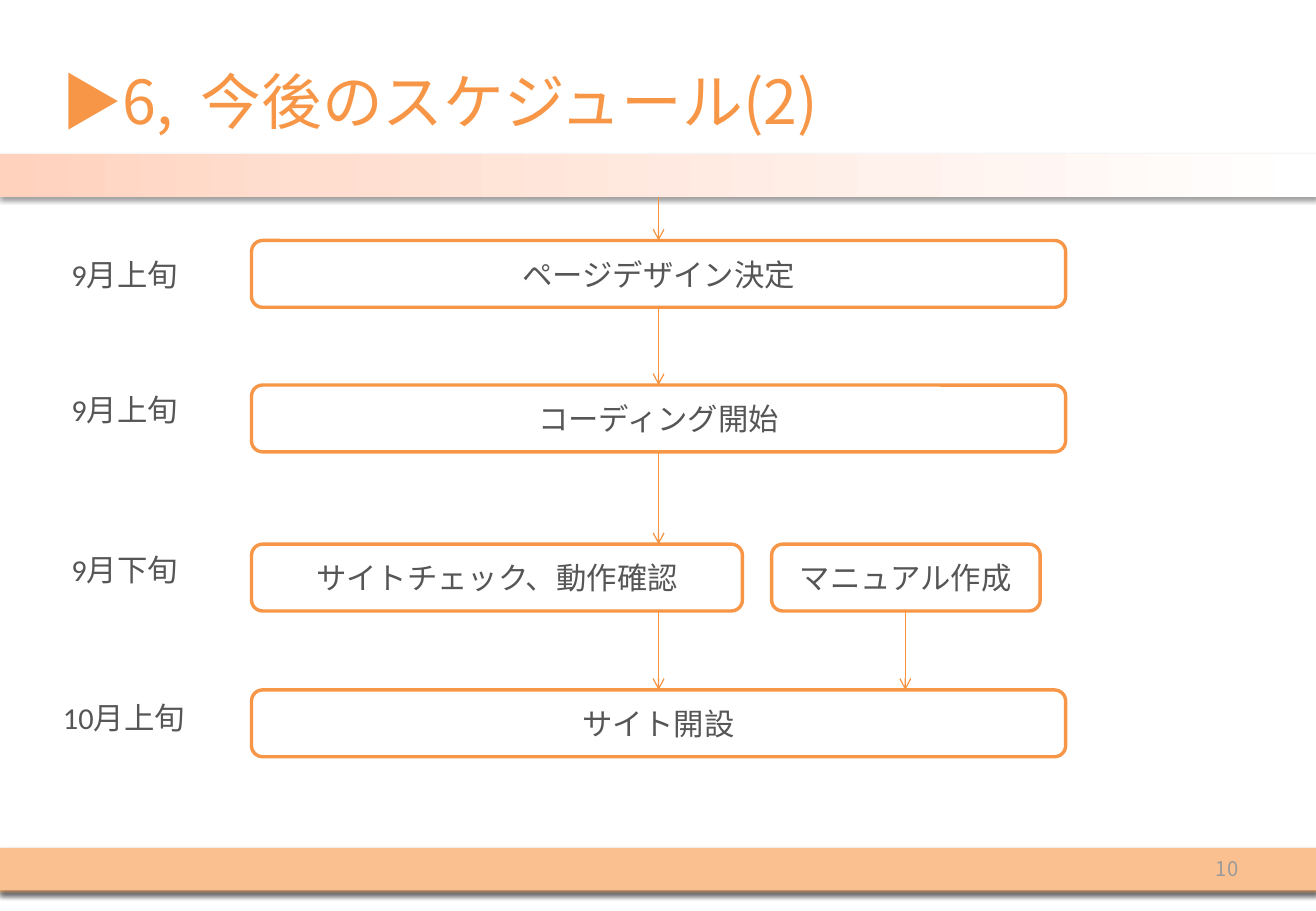
from copy import deepcopy
from dataclasses import dataclass

from lxml.etree import SubElement
from pptx import Presentation
from pptx.dml.color import RGBColor
from pptx.enum.shapes import MSO_CONNECTOR as CONNECTOR, MSO_SHAPE as SHAPE
from pptx.enum.text import MSO_ANCHOR as ANCHOR, MSO_AUTO_SIZE as AUTO, PP_ALIGN as ALIGN
from pptx.oxml.ns import qn
from pptx.util import Pt

TITLE = "▶6,  今後のスケジュール(2)"
PAGE = "10"
STEPS = [
    ("9月上旬", 206, 198, [("ページデザイン決定", 207, 670)]),
    ("9月上旬", 317, 317, [("コーディング開始", 207, 670)]),
    ("9月下旬", 449, 448, [("サイトチェック、動作確認", 207, 404), ("マニュアル作成", 635, 221)]),
    ("10月上旬", 571, 568, [("サイト開設", 207, 670)]),
]


@dataclass(frozen=True)
class Theme:
    accent: str = "F79646"
    arrow: str = "F69240"
    band: str = "FAC090"
    fade: tuple = ((0, "FFD2BD"), (0.24, "FFDED0"), (1, "FFFFFF"))
    box: str = "FFFFFF"
    text: str = "565656"
    page: str = "9A9A9A"
    shadow: str = "000000"
    latin: str = "Calibri"
    cjk: str = "Noto Sans CJK JP"
    title_size: int = 36
    text_size: int = 18
    page_size: int = 12


T = Theme()
PX = 9144
SLIDE_W, SLIDE_H = 1083, 750
BAND_H, BOX_H, LABEL_H = 35, 55, 40
HEADER_Y, FOOTER_YS = 127, (700, 698)
LABEL_CENTER, LABEL_W, LONG_LABEL_W = 102, 109, 122
MAIN_X, MANUAL_X = 542, 745


def px(*values):
    return [v * PX for v in values]


def rgb(value):
    return RGBColor.from_string(value)


def write(sp, text, size, color, font, align, anchor=ANCHOR.MIDDLE):
    tf = sp.text_frame
    tf.word_wrap = True
    tf.auto_size = AUTO.NONE
    tf.vertical_anchor = anchor
    p = tf.paragraphs[0]
    p.text = text
    p.alignment = align
    p.font.size = Pt(size)
    p.font.color.rgb = rgb(color)
    p.font.name = font
    SubElement(p._p.pPr.find(qn("a:defRPr")), qn("a:ea"), typeface=T.cjk)


def add_band(y, stops=None):
    sp = s.shapes.add_shape(SHAPE.RECTANGLE, *px(0, y, SLIDE_W, BAND_H))
    sp.line.fill.background()
    sp.shadow.inherit = False
    spPr = sp._element.spPr
    if stops:
        sp.fill.gradient()
        sp.fill.gradient_angle = 0
        gs_list = spPr.find(".//" + qn("a:gsLst"))
        gs_list.append(deepcopy(gs_list[0]))
        for stop, (position, color) in zip(sp.fill.gradient_stops, stops):
            stop.position = position
            stop.color.rgb = rgb(color)
    else:
        sp.fill.solid()
        sp.fill.fore_color.rgb = rgb(T.band)
    shadow = SubElement(spPr.find(qn("a:effectLst")), qn("a:outerShdw"),
                        blurRad=str(Pt(3.1)), dist=str(Pt(1.6)),
                        dir="5400000", rotWithShape="0")
    color = SubElement(shadow, qn("a:srgbClr"), val=T.shadow)
    SubElement(color, qn("a:alpha"), val="38000")


def add_box(text, x, y, w):
    sp = s.shapes.add_shape(SHAPE.ROUNDED_RECTANGLE, *px(x, y, w, BOX_H))
    sp.shadow.inherit = False
    sp.fill.solid()
    sp.fill.fore_color.rgb = rgb(T.box)
    sp.line.color.rgb = rgb(T.accent)
    sp.line.width = Pt(2)
    write(sp, text, T.text_size, T.text, T.latin, ALIGN.CENTER)


def add_arrow(x, y1, y2):
    line = s.shapes.add_connector(CONNECTOR.STRAIGHT, *px(x, y1, x, y2))
    line.line.color.rgb = rgb(T.arrow)
    line.line.width = Pt(0.75)
    SubElement(line.line._get_or_add_ln(), qn("a:tailEnd"), type="arrow")
    SubElement(line._element.spPr, qn("a:effectLst"))


prs = Presentation()
prs.slide_width, prs.slide_height = px(SLIDE_W, SLIDE_H)
s = prs.slides.add_slide(prs.slide_layouts[5])

title = s.shapes.title
title.left, title.top, title.width, title.height = px(41, 41, 731, 83)
write(title, TITLE, T.title_size, T.accent, T.cjk, ALIGN.LEFT)

add_band(HEADER_Y, T.fade)
for y in FOOTER_YS:
    add_band(y)
page = s.shapes.add_textbox(*px(776, 695, 253, 40))
write(page, PAGE, T.page_size, T.page, T.cjk, ALIGN.RIGHT)

arrow_start = HEADER_Y + BAND_H
for label, label_y, box_y, boxes in STEPS:
    for text, x, w in boxes:
        add_box(text, x, box_y, w)
    add_arrow(MAIN_X, arrow_start, box_y)
    arrow_start = box_y + BOX_H
    w = LONG_LABEL_W if len(label) > 4 else LABEL_W
    tb = s.shapes.add_textbox(*px(LABEL_CENTER - w // 2, label_y, w, LABEL_H))
    write(tb, label, T.text_size, T.text, T.latin, ALIGN.CENTER, ANCHOR.TOP)

manual_y, launch_y = (step[2] for step in STEPS[-2:])
add_arrow(MANUAL_X, manual_y + BOX_H, launch_y)

prs.save("out.pptx")
